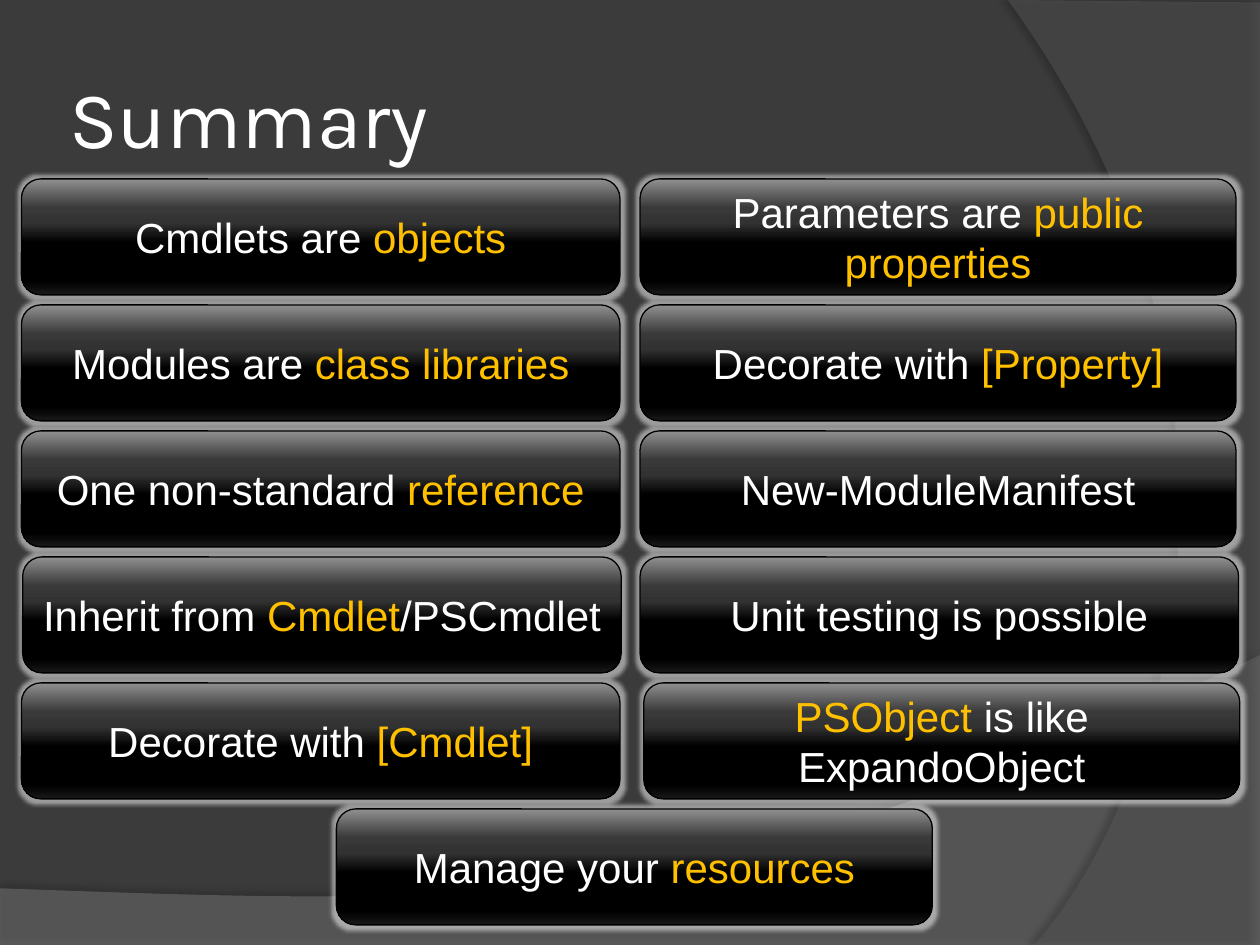
from lxml import etree
from pptx import Presentation, util as u
from pptx.dml.color import RGBColor
from pptx.enum import shapes, text
from pptx.oxml.ns import qn

hues = dict(back="3B3B3B", wave="7F7F7F", arc="5E5E5E", text="FFFFFF",
            key="FFC000", edge="000000", glow="FFFFFF")
stops = [(0, "909090"), (25, "393939"), (38, "323232"), (55, "000000"),
         (80, "000000"), (88, "000000"), (100, "181818")]
title = "Summary"
left = [
    [("Cmdlets are ", "text"), ("objects", "key")],
    [("Modules are ", "text"), ("class libraries", "key")],
    [("One non-standard ", "text"), ("reference", "key")],
    [("Inherit from ", "text"), ("Cmdlet", "key"), ("/PSCmdlet", "text")],
    [("Decorate with ", "text"), ("[Cmdlet]", "key")],
]
right = [
    [("Parameters are ", "text"), ("public properties", "key")],
    [("Decorate with ", "text"), ("[Property]", "key")],
    [("New-ModuleManifest", "text")],
    [("Unit testing is possible", "text")],
    [("PSObject ", "key"), ("is like ExpandoObject", "text")],
]
last = [("Manage your ", "text"), ("resources", "key")]
top, pitch, high = 1.42, 1, 0.92
cols = [(0.17, 4.75, left), (5.08, 4.73, right)]
nudge = {(0, 3): (0.18, 4.75), (1, 3): (5.08, 4.75), (1, 4): (5.11, 4.73)}

deck = Presentation()
deck.slide_width, deck.slide_height = u.Inches(10), u.Inches(7.5)
page = deck.slides.add_slide(deck.slide_layouts[6])


def rgb(name):
    return RGBColor.from_string(hues[name])


def sub(node, tag, **atts):
    return etree.SubElement(node, qn("a:" + tag),
                            {k: str(v) for k, v in atts.items()})


def tint(node, hue, alpha):
    sub(sub(node, "srgbClr", val=hue), "alpha", val=alpha * 1000)


def curve(a, b, c, d, n=60):
    for i in range(1, n + 1):
        t = i / n
        s = 1 - t
        yield tuple(s**3 * p + 3 * s * s * t * q + 3 * s * t * t * r + t**3 * v
                    for p, q, r, v in zip(a, b, c, d))


def sweep(pts, hue, alpha, shade, dist, turn):
    pts = [(u.Inches(x), u.Inches(y)) for x, y in pts]
    form = page.shapes.build_freeform(*pts[0], scale=1.0)
    form.add_line_segments(pts[1:], close=True)
    shape = form.convert_to_shape()
    shape.fill.solid()
    shape.fill.fore_color.rgb = rgb(hue)
    prop = shape.element.spPr
    sub(prop.find(".//" + qn("a:srgbClr")), "alpha", val=alpha * 1000)
    shape.line.fill.background()
    cast = sub(sub(prop, "effectLst"), "outerShdw", blurRad=u.Pt(4),
               dist=u.Pt(dist), dir=turn * 60000, algn="ctr", rotWithShape=0)
    tint(cast, hues["edge"], shade)


def write(para, runs, size, face):
    for words, hue in runs:
        run = para.add_run()
        run.text = words
        run.font.size, run.font.name = u.Pt(size), face
        run.font.color.rgb = rgb(hue)


def tile(x, y, wide, runs):
    box = page.shapes.add_shape(shapes.MSO_SHAPE.ROUNDED_RECTANGLE,
                                *map(u.Inches, (x, y, wide, high)))
    box.fill.gradient()
    box.fill.gradient_angle = 270
    prop = box.element.spPr
    ramp = prop.find(".//" + qn("a:gsLst"))
    for old in list(ramp):
        ramp.remove(old)
    for at, hue in stops:
        sub(sub(ramp, "gs", pos=at * 1000), "srgbClr", val=hue)
    box.line.color.rgb, box.line.width = rgb("edge"), u.Pt(0.75)
    tint(sub(sub(prop, "effectLst"), "glow", rad=u.Pt(5)), hues["glow"], 50)
    frame = box.text_frame
    frame.word_wrap = True
    frame.vertical_anchor = text.MSO_ANCHOR.MIDDLE
    para = frame.paragraphs[0]
    para.alignment = text.PP_ALIGN.CENTER
    write(para, runs, 24, "Arial")


page.background.fill.solid()
page.background.fill.fore_color.rgb = rgb("back")
sweep([(0, 7.05), (0, 7.51), (10, 7.51), (10, 5.2),
       *curve((10, 5.2), (5.59, 7.29), (3.91, 7.19), (0, 7.05))],
      "wave", 45, 35, 3.5, 270)
sweep([(10, 0.02), (10, 7.5), (8.21, 7.5),
       *curve((8.21, 7.5), (9.35, 6.19), (10.18, 3), (8, 0))],
      "arc", 40, 45, 4, 180)

head = page.shapes.add_textbox(*map(u.Inches, (0.5, 0.3, 8.17, 1.25))).text_frame
head.word_wrap = True
head.vertical_anchor = text.MSO_ANCHOR.MIDDLE
head.margin_left = head.margin_right = u.Inches(0.05)
head.margin_top = head.margin_bottom = u.Inches(0.05)
write(head.paragraphs[0], [(title, "text")], 46, "Karla")

for c, (x, wide, items) in enumerate(cols):
    for r, runs in enumerate(items):
        px, pw = nudge.get((c, r), (x, wide))
        tile(px, top + r * pitch, pw, runs)
tile(2.67, top + len(left) * pitch, 4.73, last)

deck.save("out.pptx")
